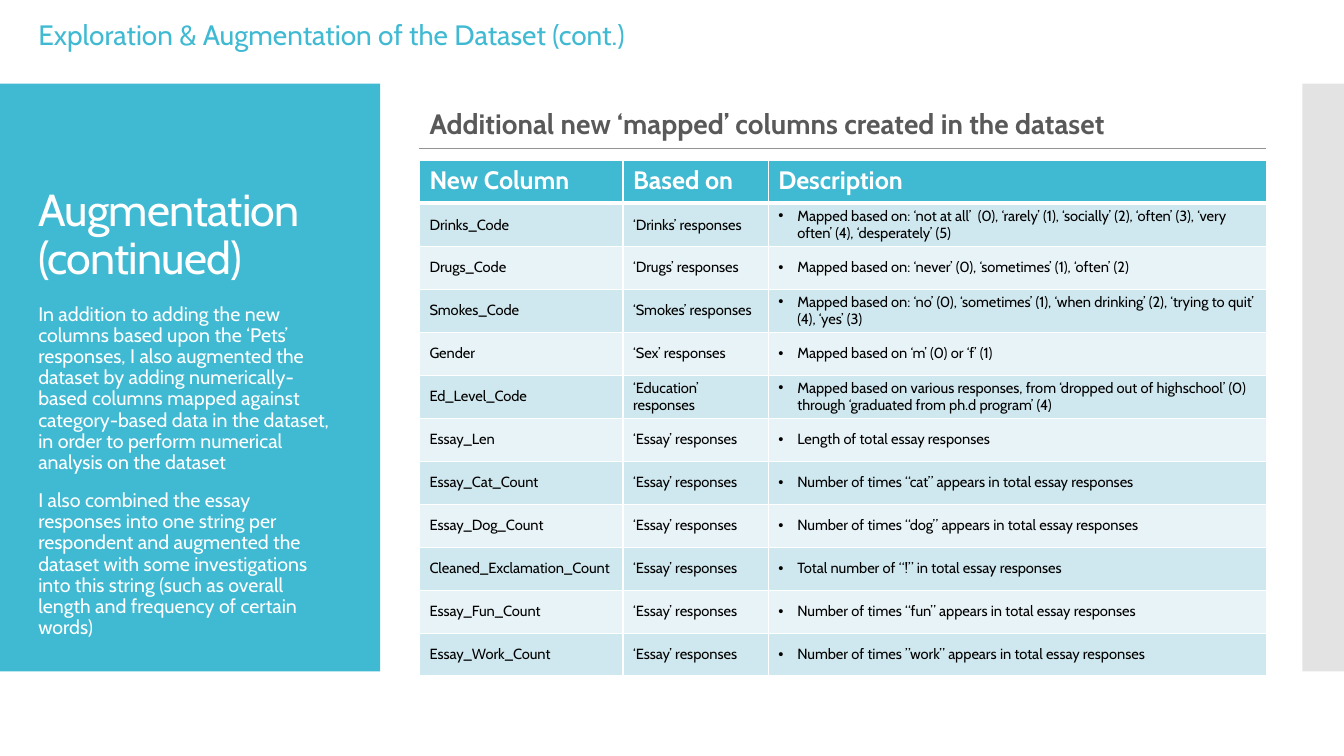
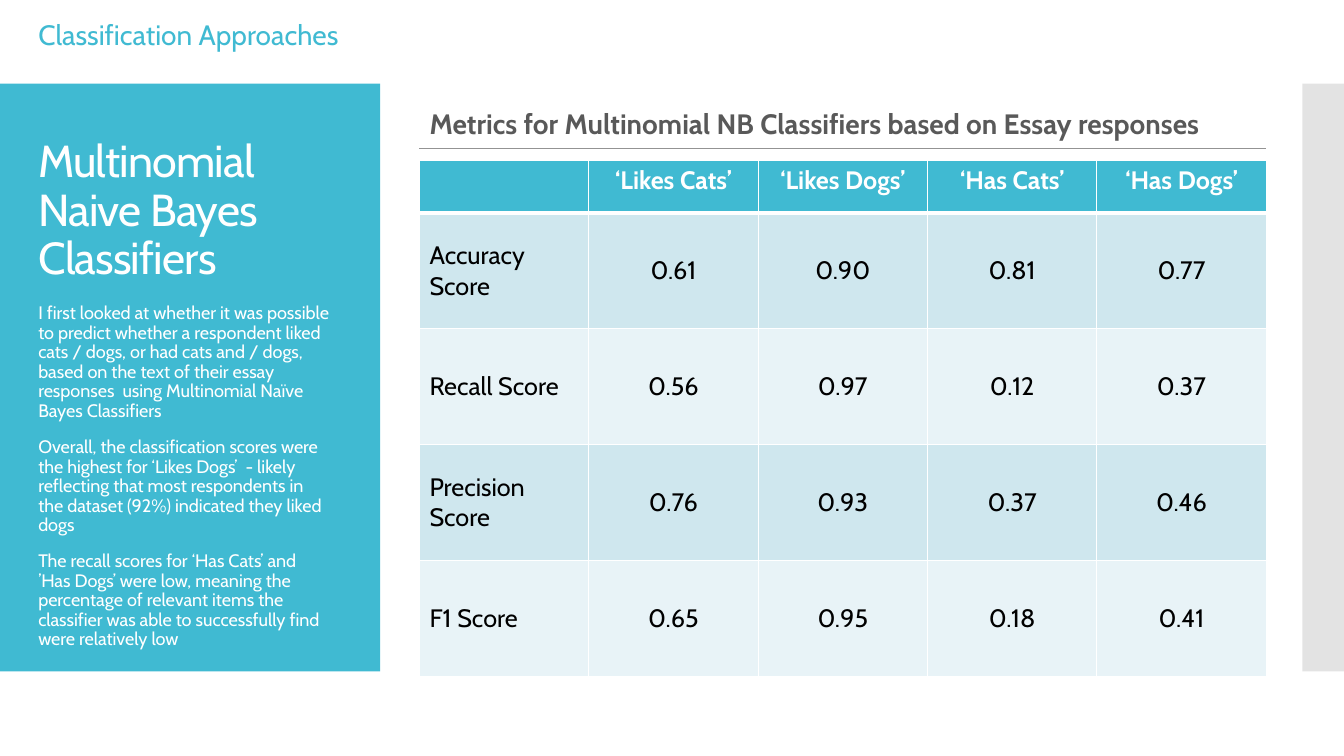
"""Build two slides on dataset augmentation and Naive Bayes classifier metrics."""
from lxml import etree
from pptx import Presentation
from pptx.dml.color import RGBColor
from pptx.enum.shapes import MSO_CONNECTOR, MSO_SHAPE
from pptx.enum.text import MSO_ANCHOR, MSO_AUTO_SIZE, PP_ALIGN
from pptx.oxml.ns import qn
from pptx.util import Cm, Pt

TEAL = RGBColor(0x40, 0xBA, 0xD2)
SILVER = RGBColor(0xC8, 0xC8, 0xC8)
RULE_GRAY = RGBColor(0x93, 0x93, 0x93)
DARK_GRAY = RGBColor(0x59, 0x59, 0x59)
ROW_DARK = RGBColor(0xCF, 0xE7, 0xEE)
ROW_LIGHT = RGBColor(0xE8, 0xF3, 0xF7)
WHITE = RGBColor(0xFF, 0xFF, 0xFF)
BLACK = RGBColor(0x00, 0x00, 0x00)

FONT = "Cabin"
LEFT, CENTER = PP_ALIGN.LEFT, PP_ALIGN.CENTER
TOP, MIDDLE, BOTTOM = MSO_ANCHOR.TOP, MSO_ANCHOR.MIDDLE, MSO_ANCHOR.BOTTOM
NO_AUTOFIT = MSO_AUTO_SIZE.NONE
RECTANGLE = MSO_SHAPE.RECTANGLE
STRAIGHT = MSO_CONNECTOR.STRAIGHT

TABLE_LEFT, TABLE_TOP, TABLE_WIDTH, TABLE_HEIGHT = 10.57, 4.04, 21.34, 13
TEXT_LEFT, TEXT_WIDTH = 0.71, 7.87
RULE_TOP = 3.73
BULLET_INDENT = Cm(0.48)

SLIDES = [
    {
        "topic": "Exploration & Augmentation of the Dataset (cont.)",
        "title": "Augmentation (continued)",
        "heading": "Additional new ‘mapped’ columns created in the dataset",
        "story": [
            "In addition to adding the new columns based upon the ‘Pets’ responses, I also "
            "augmented the dataset by adding numerically-based columns mapped against "
            "category-based data in the dataset, in order to perform numerical analysis on "
            "the dataset",
            "I also combined the essay responses into one string per respondent and augmented "
            "the dataset with some investigations into this string (such as overall length "
            "and frequency of certain words)",
        ],
        "story_size": 14,
        "story_height": 8.61,
        "widths": [5.13, 3.66, 12.55],
        "header_height": TABLE_HEIGHT / 12,
        "cell_size": 10.5,
        "cell_inset": 0,
        "alignments": [LEFT, LEFT, LEFT],
        "bullet_column": 2,
        "rows": [
            ["New Column", "Based on", "Description"],
            ["Drinks_Code", "‘Drinks’ responses",
             "Mapped based on: ‘not at all’  (0), ‘rarely’ (1), ‘socially’ (2), ‘often’ (3), "
             "‘very often’ (4), ‘desperately’ (5)"],
            ["Drugs_Code", "‘Drugs’ responses",
             "Mapped based on: ‘never’ (0), ‘sometimes’ (1), ‘often’ (2)"],
            ["Smokes_Code", "‘Smokes’ responses",
             "Mapped based on: ‘no’ (0), ‘sometimes’ (1), ‘when drinking’ (2), "
             "‘trying to quit’ (4), ‘yes’ (3)"],
            ["Gender", "‘Sex’ responses", "Mapped based on ‘m’ (0) or ‘f’ (1)"],
            ["Ed_Level_Code", "‘Education’ responses",
             "Mapped based on various responses, from ‘dropped out of highschool’ (0) "
             "through ‘graduated from ph.d program’ (4)"],
            ["Essay_Len", "‘Essay’ responses", "Length of total essay responses"],
            ["Essay_Cat_Count", "‘Essay’ responses",
             "Number of times “cat” appears in total essay responses"],
            ["Essay_Dog_Count", "‘Essay’ responses",
             "Number of times “dog” appears in total essay responses"],
            ["Cleaned_Exclamation_Count", "‘Essay’ responses",
             "Total number of “!” in total essay responses"],
            ["Essay_Fun_Count", "‘Essay’ responses",
             "Number of times “fun” appears in total essay responses"],
            ["Essay_Work_Count", "‘Essay’ responses",
             "Number of times ”work” appears in total essay responses"],
        ],
    },
    {
        "topic": "Classification Approaches",
        "title": "Multinomial Naive Bayes Classifiers",
        "heading": "Metrics for Multinomial NB Classifiers based on Essay responses",
        "story": [
            "I first looked at whether it was possible to predict whether a respondent liked "
            "cats / dogs, or had cats and / dogs, based on the text of their essay responses  "
            "using Multinomial Naïve Bayes Classifiers",
            "Overall, the classification scores were the highest for ‘Likes Dogs’  - likely "
            "reflecting that most respondents in the dataset (92%) indicated they liked dogs",
            "The recall scores for ‘Has Cats’ and ’Has Dogs’ were low, meaning the percentage "
            "of relevant items the classifier was able to successfully find were relatively low",
        ],
        "story_size": 12.9,
        "story_height": 9.14,
        "widths": [TABLE_WIDTH / 5] * 5,
        "header_height": 1.32,
        "cell_size": 18,
        "cell_inset": 0.13,
        "alignments": [LEFT] + [CENTER] * 4,
        "bullet_column": None,
        "rows": [
            ["", "‘Likes Cats’", "‘Likes Dogs’", "‘Has Cats’", "‘Has Dogs’"],
            ["Accuracy Score", "0.61", "0.90", "0.81", "0.77"],
            ["Recall Score", "0.56", "0.97", "0.12", "0.37"],
            ["Precision Score", "0.76", "0.93", "0.37", "0.46"],
            ["F1 Score", "0.65", "0.95", "0.18", "0.41"],
        ],
    },
]


def write(para, text, size, color, bold=False, align=LEFT, bullet=False):
    para.alignment = align
    properties = para._p.get_or_add_pPr()
    indent = BULLET_INDENT if bullet else 0
    properties.set("marL", str(indent))
    properties.set("indent", str(-indent))
    if bullet:
        etree.SubElement(properties, qn("a:buFont"), typeface="Arial")
        etree.SubElement(properties, qn("a:buChar"), char="•")
    else:
        etree.SubElement(properties, qn("a:buNone"))
    if text:
        span = para.add_run()
        span.text = text
        span.font.name = FONT
        span.font.size = Pt(size)
        span.font.bold = bold
        span.font.color.rgb = color


def fill_placeholder(box, place, anchor, texts, size, color, bold=False, before=12):
    box.left, box.top, box.width, box.height = [Cm(length) for length in place]
    frame = box.text_frame
    frame.word_wrap = True
    frame.auto_size = NO_AUTOFIT
    frame.vertical_anchor = anchor
    for index, text in enumerate(texts):
        para = frame.add_paragraph() if index else frame.paragraphs[0]
        para.line_spacing = 0.9
        para.space_before = Pt(before)
        write(para, text, size, color, bold)


deck = Presentation()
deck.slide_width, deck.slide_height = Cm(33.87), Cm(19.05)
comparison_layout = deck.slide_layouts[4]

for content in SLIDES:
    page = deck.slides.add_slide(comparison_layout)
    title, heading, story, topic, unused = page.placeholders
    unused.element.getparent().remove(unused.element)

    for left, width, color in [(0, 9.58, TEAL), (32.82, 1.05, SILVER)]:
        band = page.shapes.add_shape(RECTANGLE, Cm(left), Cm(2.11), Cm(width), Cm(14.81))
        band.shadow.inherit = False
        band.fill.solid()
        band.fill.fore_color.rgb = color
        band.line.fill.background()
        page.shapes._spTree.remove(band._element)
        page.shapes._spTree.insert(2, band._element)
        if color == SILVER:
            tint = band._element.spPr.find(qn("a:solidFill"))[0]
            etree.SubElement(tint, qn("a:alpha"), val="50000")

    rule = page.shapes.add_connector(
        STRAIGHT, Cm(TABLE_LEFT), Cm(RULE_TOP), Cm(TABLE_LEFT + TABLE_WIDTH), Cm(RULE_TOP))
    rule.line.color.rgb = RULE_GRAY
    rule.line.width = Pt(0.75)
    etree.SubElement(rule._element.spPr, qn("a:effectLst"))

    fill_placeholder(title, (TEXT_LEFT, 3.18, TEXT_WIDTH, 4.11), BOTTOM,
                     [content["title"]], 32, WHITE, before=0)
    title.text_frame.paragraphs[0].runs[0].font._element.set("spc", "-60")
    fill_placeholder(story, (TEXT_LEFT, 7.54, TEXT_WIDTH, content["story_height"]), TOP,
                     content["story"], content["story_size"], WHITE)
    fill_placeholder(heading, (TABLE_LEFT, 2.01, TABLE_WIDTH, 1.65), BOTTOM,
                     [content["heading"]], 20, DARK_GRAY, bold=True)
    fill_placeholder(topic, (TEXT_LEFT, 0.41, 15.42, 1.02), MIDDLE,
                     [content["topic"]], 20, TEAL)

    rows = content["rows"]
    table = page.shapes.add_table(
        len(rows), len(rows[0]), Cm(TABLE_LEFT), Cm(TABLE_TOP),
        Cm(TABLE_WIDTH), Cm(TABLE_HEIGHT)).table
    table.horz_banding = False
    for column, width in zip(table.columns, content["widths"]):
        column.width = Cm(width)
    body_height = (TABLE_HEIGHT - content["header_height"]) / (len(rows) - 1)

    for row_index, texts in enumerate(rows):
        is_header = row_index == 0
        table.rows[row_index].height = Cm(content["header_height"] if is_header else body_height)
        for column_index, text in enumerate(texts):
            cell = table.cell(row_index, column_index)
            borders = {"lnL": 1, "lnR": 1, "lnT": 3 if row_index == 1 else 1,
                       "lnB": 3 if is_header else 1}
            for side, points in borders.items():
                border = etree.SubElement(
                    cell._tc.get_or_add_tcPr(), qn("a:" + side), w=str(Pt(points)))
                paint = etree.SubElement(border, qn("a:solidFill"))
                etree.SubElement(paint, qn("a:srgbClr"), val=str(WHITE))
            cell.fill.solid()
            cell.fill.fore_color.rgb = (
                TEAL if is_header else ROW_DARK if row_index % 2 else ROW_LIGHT)
            cell.vertical_anchor = TOP if is_header else MIDDLE
            if not is_header:
                cell.margin_top = cell.margin_bottom = Cm(content["cell_inset"])
            write(cell.text_frame.paragraphs[0], text,
                  18 if is_header else content["cell_size"],
                  WHITE if is_header else BLACK, is_header,
                  content["alignments"][column_index],
                  not is_header and column_index == content["bullet_column"])

deck.save("out.pptx")
